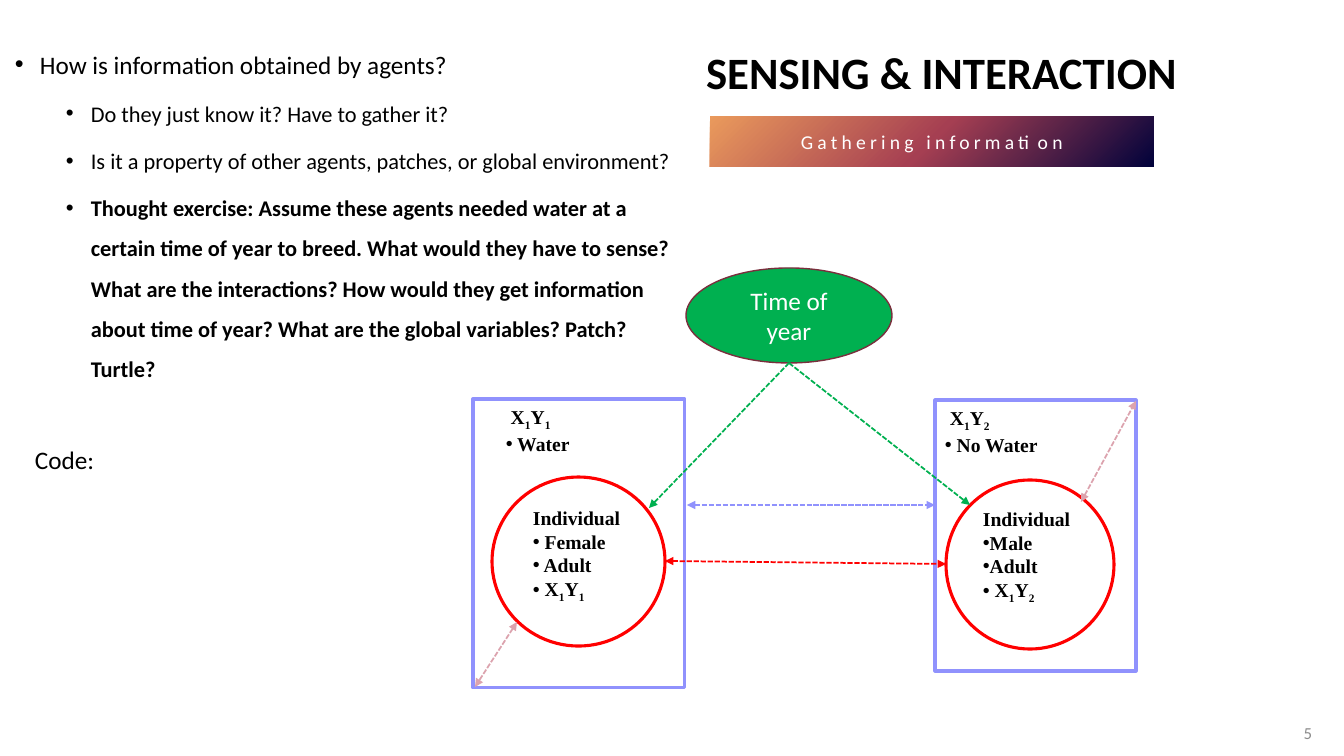
"""Build the slide on how agents sense and interact."""
from lxml.etree import SubElement
from pptx import Presentation
from pptx.dml.color import RGBColor
from pptx.enum.dml import MSO_LINE
from pptx.enum.shapes import MSO_CONNECTOR, MSO_SHAPE
from pptx.enum.text import MSO_ANCHOR, MSO_AUTO_SIZE, PP_ALIGN
from pptx.oxml.ns import qn
from pptx.util import Pt

PX = 914400 / 100.8
COLORS = {
    "text": "000000", "white": "FFFFFF", "number": "8C8C8C",
    "navy": "01023B", "rose": "A53F52", "orange": "EA9A5C",
    "individual": "FF0000", "patch": "9092FD", "season": "00B050",
    "season_edge": "7A2F3D", "sensing": "DCA3AE",
}
TITLE = "SENSING & INTERACTION"
SUBTITLE = "Gathering information"
QUESTIONS = [
    (0, False, "How is information obtained by agents?"),
    (1, False, "Do they just know it? Have to gather it?"),
    (1, False, "Is it a property of other agents, patches, or global environment?"),
    (1, True, "Thought exercise: Assume these agents needed water at a certain time of "
              "year to breed. What would they have to sense? What are the interactions? "
              "How would they get information about time of year? What are the global "
              "variables? Patch? Turtle?"),
]
LEVELS = [
    {"size": 18, "left": 25, "before": 10},
    {"size": 16, "left": 76, "before": 5},
]
AGENTS = [
    {"row": "1", "resource": " Water", "traits": [" Female", " Adult"],
     "circle": (492, 477, 173, 169), "traits_box": (523, 501, 122, 105),
     "patch": (473, 399, 212, 289), "patch_box": (496, 400, 175, 57)},
    {"row": "2", "resource": " No Water", "traits": ["Male", "Adult"],
     "circle": (946, 480, 168, 169), "traits_box": (973, 502, 118, 105),
     "patch": (935, 400, 201, 271), "patch_box": (935, 401, 218, 57)},
]
BOTH = ("headEnd", "tailEnd")
ARROWS = [
    ("individual", (665, 561, 946, 564), BOTH),
    ("season", (789, 363, 649, 508), ("tailEnd",)),
    ("patch", (687, 505, 935, 505), BOTH),
    ("season", (789, 363, 970, 505), ("tailEnd",)),
    ("sensing", (1081, 502, 1136, 401), BOTH),
    ("sensing", (517, 622, 475, 687), BOTH),
]


def emu(lengths):
    return [round(length * PX) for length in lengths]


def rgb(name):
    return RGBColor.from_string(COLORS[name])


def style(font, size, color, bold=False, face="Calibri"):
    font.name, font.size, font.bold = face, Pt(size), bold
    font.color.rgb = rgb(color)


def add_run(paragraph, text, size, color, bold=False, face="Calibri"):
    run = paragraph.add_run()
    run.text = text
    style(run.font, size, color, bold, face)
    return run


def add_bullet(paragraph, left=0, hanging=0):
    properties = paragraph._p.get_or_add_pPr()
    properties.set("marL", str(round(left * PX)))
    properties.set("indent", str(round(-hanging * PX)))
    SubElement(properties, qn("a:buFont"), typeface="Arial")
    SubElement(properties, qn("a:buChar"), char="•")


def add_box(shapes, bounds, wrap=True):
    frame = shapes.add_textbox(*emu(bounds)).text_frame
    frame.word_wrap = wrap
    return frame


def add_outline(shapes, kind, bounds, color, width):
    outline = shapes.add_shape(kind, *emu(bounds))
    outline.shadow.inherit = False
    outline.fill.background()
    outline.line.color.rgb = rgb(color)
    outline.line.width = Pt(width)
    return outline


def add_label(shapes, bounds, lines):
    frame = add_box(shapes, bounds)
    for index, (bulleted, pieces) in enumerate(lines):
        paragraph = frame.paragraphs[0] if index == 0 else frame.add_paragraph()
        if bulleted:
            add_bullet(paragraph)
        for piece in pieces:
            run = add_run(paragraph, piece, 14, "text", True, "Times New Roman")
            if piece.isdigit():
                run._r.get_or_add_rPr().set("baseline", "-25000")


def add_agent(slide, agent):
    shapes = slide.shapes.add_group_shape().shapes
    place = [" X", "1", "Y", agent["row"]]
    traits = [(True, [trait]) for trait in agent["traits"]]
    add_outline(shapes, MSO_SHAPE.OVAL, agent["circle"], "individual", 2.25)
    add_label(shapes, agent["traits_box"],
              [(False, ["Individual"]), *traits, (True, place)])
    add_outline(shapes, MSO_SHAPE.RECTANGLE, agent["patch"], "patch", 2.25)
    add_label(shapes, agent["patch_box"], [(False, place), (True, [agent["resource"]])])


def add_arrow(slide, color, ends, heads):
    arrow = slide.shapes.add_connector(MSO_CONNECTOR.STRAIGHT, *emu(ends))
    arrow.line.color.rgb = rgb(color)
    arrow.line.width = Pt(1.25)
    arrow.line.dash_style = MSO_LINE.SQUARE_DOT
    line = arrow.line._get_or_add_ln()
    for head in heads:
        SubElement(line, qn(f"a:{head}"), type="triangle")
    SubElement(arrow._element.spPr, qn("a:effectLst"))


def add_title(slide):
    title = slide.shapes.title
    title.left, title.top, title.width, title.height = emu((696, 13, 650, 98))
    frame = title.text_frame
    frame.auto_size = MSO_AUTO_SIZE.NONE
    frame.vertical_anchor = MSO_ANCHOR.TOP
    heading = frame.paragraphs[0]
    heading.alignment = PP_ALIGN.LEFT
    heading.line_spacing = 1.5
    add_run(heading, TITLE, 32, "text", True)


def add_subtitle(slide):
    banner = slide.shapes.add_shape(MSO_SHAPE.RECTANGLE, *emu((710, 116, 444, 51)))
    banner.shadow.inherit = False
    banner.line.fill.background()
    banner.fill.gradient()
    gradient = banner._element.spPr.find(qn("a:gradFill"))
    for child in list(gradient):
        gradient.remove(child)
    stops = SubElement(gradient, qn("a:gsLst"))
    for position, color in ((0, "navy"), (50, "rose"), (100, "orange")):
        stop = SubElement(stops, qn("a:gs"), pos=str(position * 1000))
        SubElement(stop, qn("a:srgbClr"), val=COLORS[color])
    radial = SubElement(gradient, qn("a:path"), path="circle")
    SubElement(radial, qn("a:fillToRect"), l="100000", t="100000")
    banner.text_frame.vertical_anchor = MSO_ANCHOR.MIDDLE
    paragraph = banner.text_frame.paragraphs[0]
    paragraph.alignment = PP_ALIGN.CENTER
    add_run(paragraph, SUBTITLE, 14, "white")._r.get_or_add_rPr().set("spc", "300")


def add_questions(slide):
    frame = add_box(slide.shapes, (5, 29, 681, 325))
    for index, (depth, bold, text) in enumerate(QUESTIONS):
        paragraph = frame.paragraphs[0] if index == 0 else frame.add_paragraph()
        level = LEVELS[depth]
        paragraph.level = depth
        add_bullet(paragraph, level["left"], 25)
        paragraph.line_spacing = 1.5
        if index:
            paragraph.space_before = Pt(level["before"])
        add_run(paragraph, text, level["size"], "text", bold)


def add_season(slide):
    season = add_outline(slide.shapes, MSO_SHAPE.OVAL, (686, 268, 206, 95), "season_edge", 1)
    season.fill.solid()
    season.fill.fore_color.rgb = rgb("season")
    season.text_frame.vertical_anchor = MSO_ANCHOR.MIDDLE
    paragraph = season.text_frame.paragraphs[0]
    paragraph.alignment = PP_ALIGN.CENTER
    add_run(paragraph, "Time of year", 18, "white")


def add_page_number(slide):
    frame = add_box(slide.shapes, (1273, 713, 49, 40))
    frame.vertical_anchor = MSO_ANCHOR.MIDDLE
    paragraph = frame.paragraphs[0]
    paragraph.alignment = PP_ALIGN.RIGHT
    add_run(paragraph, "5", 12, "number")


def main():
    deck = Presentation()
    deck.slide_width, deck.slide_height = emu((1344, 756))
    slide = deck.slides.add_slide(deck.slide_layouts[5])
    add_subtitle(slide)
    add_page_number(slide)
    add_questions(slide)
    add_title(slide)
    add_agent(slide, AGENTS[0])
    add_season(slide)
    add_agent(slide, AGENTS[1])
    for arrow in ARROWS:
        add_arrow(slide, *arrow)
    code = add_box(slide.shapes, (25, 439, 81, 40), wrap=False)
    add_run(code.paragraphs[0], "Code:", 18, "text")
    deck.save("out.pptx")


if __name__ == "__main__":
    main()
